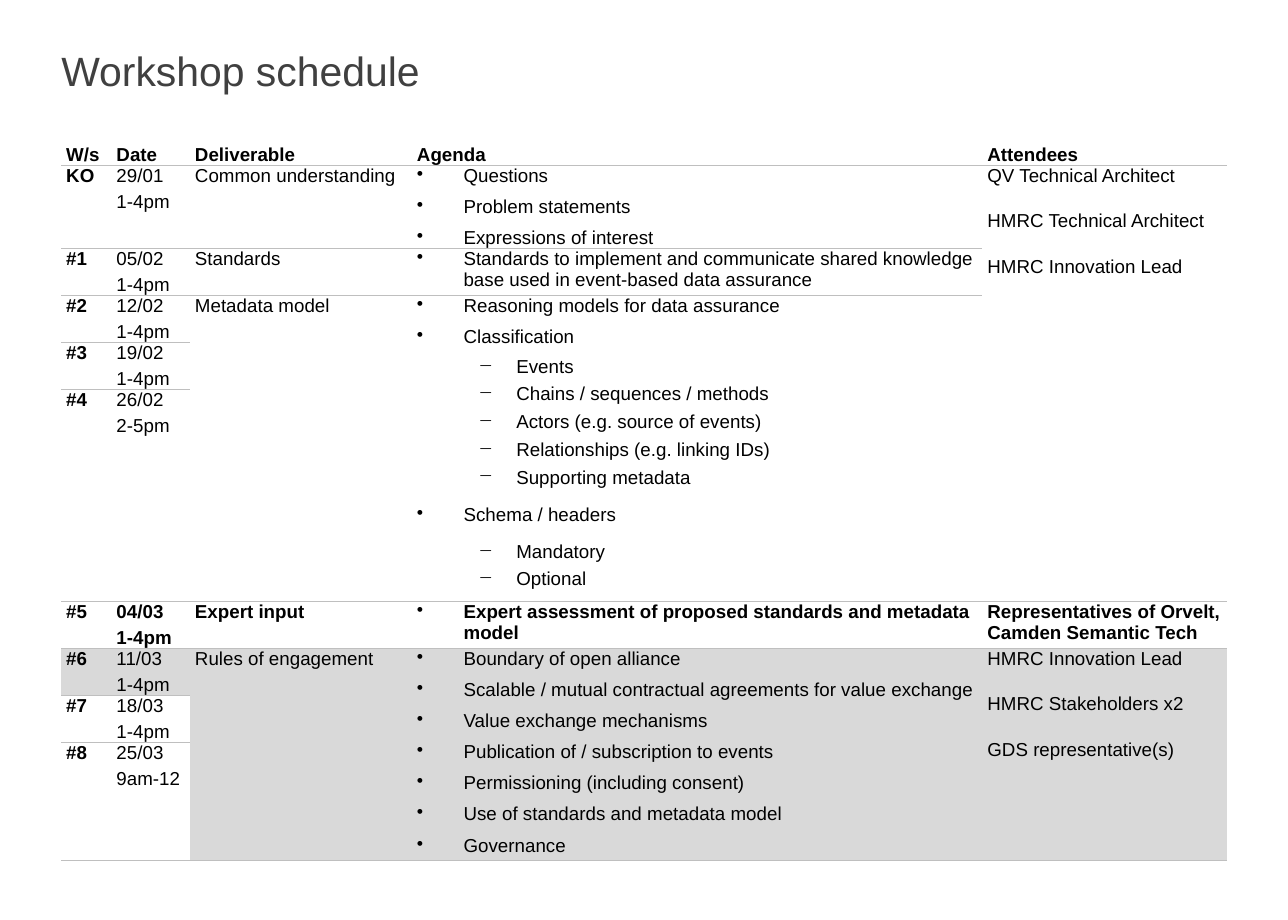
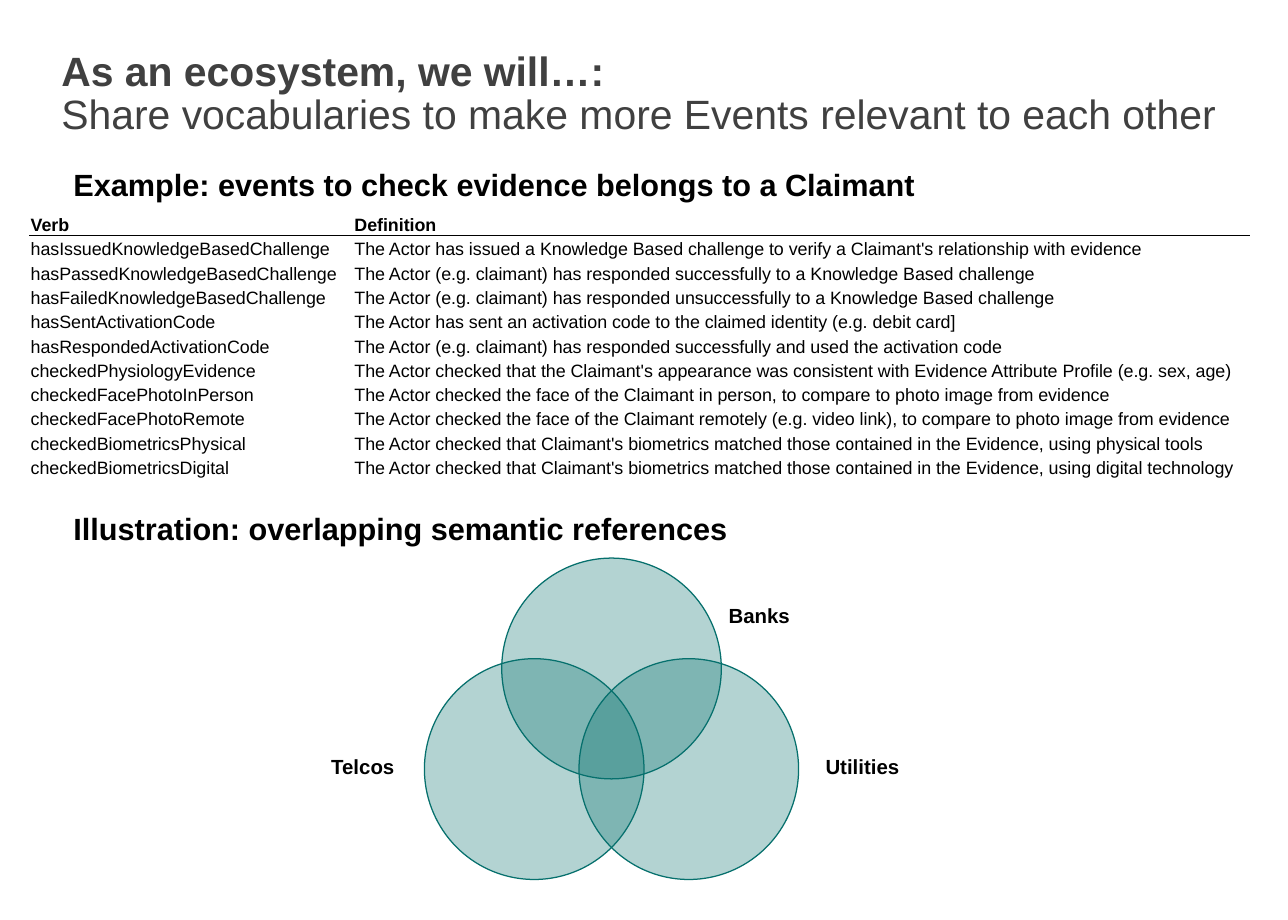
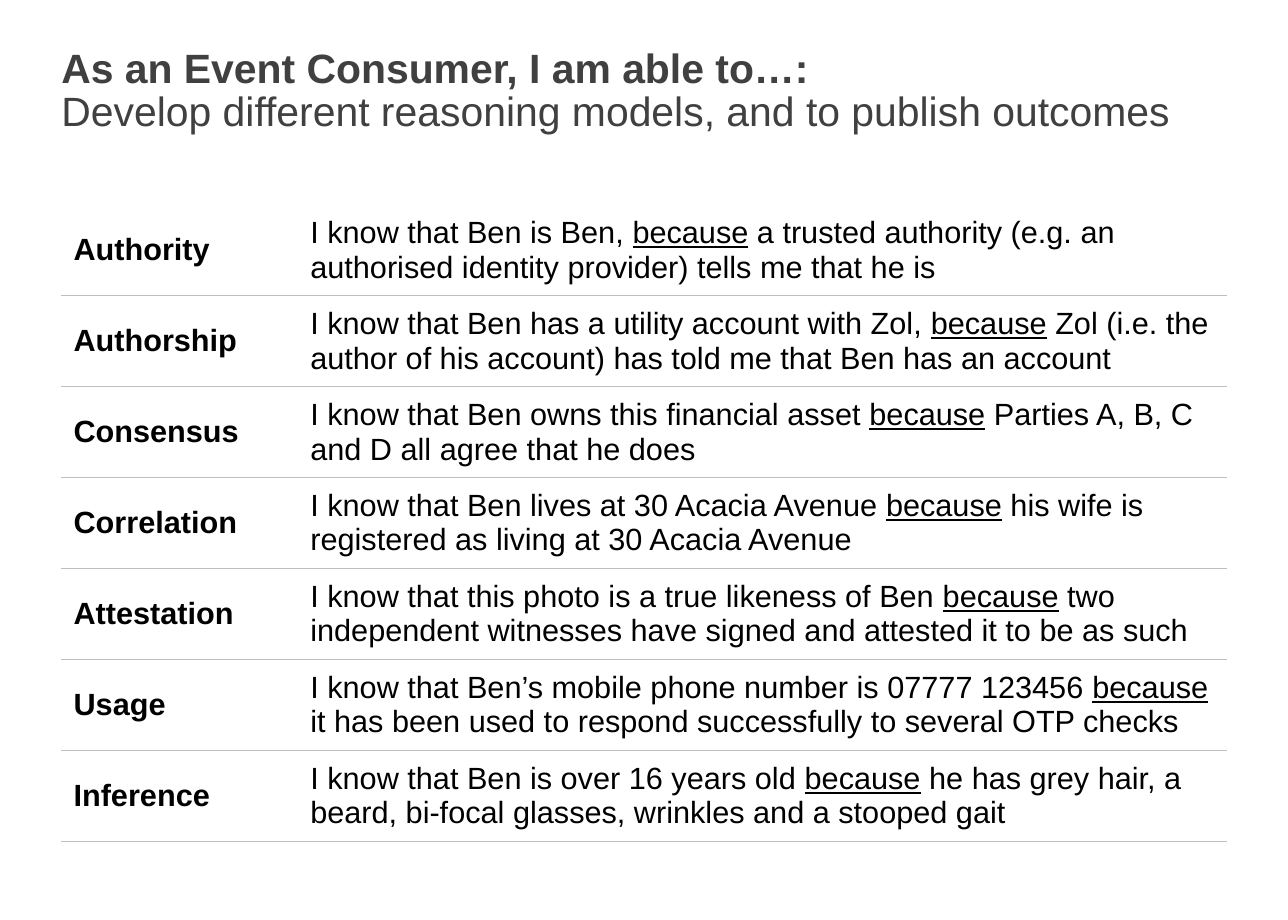
"""Build three slides on a workshop schedule, shared vocabularies and reasoning models."""
from pptx import Presentation
from pptx.dml.color import RGBColor
from pptx.enum.shapes import MSO_SHAPE as Shape
from pptx.enum.text import MSO_ANCHOR as Anchor, MSO_AUTO_SIZE as AutoSize
from pptx.oxml import parse_xml
from pptx.oxml.ns import nsdecls, qn
from pptx.util import Inches, Pt

FONT, BLACK, TITLE, GREY, SHADE, TEAL = "Arial", "000000", "404040", "BFBFBF", "D9D9D9", "06706D"
NO_STYLE = "{2D5ABB26-0587-4C30-8999-92F81FD0307C}"
colour = RGBColor.from_string


def write(para, text, size, **formats):
    """Add one black run to a paragraph."""
    span = para.add_run()
    span.text = text
    span.font.color.rgb = colour(BLACK)
    for name, value in {"name": FONT, "size": Pt(size), **formats}.items():
        setattr(span.font, name, value)


def add_grid(page, left, top, widths, heights, formats):
    """Add a table without fills or borders and return it."""
    grid = page.shapes.add_table(
        len(heights), len(widths), Inches(left), Inches(top),
        Inches(sum(widths)), Inches(sum(heights))).table
    grid.first_row = grid.horz_banding = False
    grid._tbl.tblPr.find(qn("a:tableStyleId")).text = NO_STYLE
    for column, width in zip(grid.columns, widths):
        column.width = Inches(width)
    for row, height in zip(grid.rows, heights):
        row.height = Inches(height)
    for cell in grid.iter_cells():
        cell.fill.background()
        for name, value in formats.items():
            setattr(cell, name, value)
    return grid


deck = Presentation()
deck.slide_width, deck.slide_height = Inches(10.5), Inches(7.5)
layout = deck.slide_layouts[5]

heading = layout.placeholders[0]
place = {"left": Inches(0.5), "top": Inches(0.42), "width": Inches(9.5), "height": Inches(0.83)}
for name, value in place.items():
    setattr(heading, name, value)
flush = {"margin_left": 0, "margin_top": 0, "margin_right": 0, "margin_bottom": 0}
for name, value in {**flush, "vertical_anchor": Anchor.TOP, "auto_size": AutoSize.NONE}.items():
    setattr(heading.text_frame, name, value)
heading.text_frame._txBody.find(qn("a:lstStyle")).append(parse_xml(
    f'<a:lvl1pPr {nsdecls("a")} algn="l"><a:lnSpc><a:spcPct val="88000"/></a:lnSpc>'
    f'<a:defRPr sz="2400"><a:solidFill><a:srgbClr val="{TITLE}"/></a:solidFill>'
    f'<a:latin typeface="{FONT}"/></a:defRPr></a:lvl1pPr>'))

titles = [
    ("", "Workshop schedule"),
    ("As an ecosystem, we will…:",
     "Share vocabularies to make more Events relevant to each other"),
    ("As an Event Consumer, I am able to…:",
     "Develop different reasoning models, and to publish outcomes"),
]
pages = []
for lead, message in titles:
    page = deck.slides.add_slide(layout)
    para = page.shapes.title.text_frame.paragraphs[0]
    if lead:
        span = para.add_run()
        span.text, span.font.bold = lead, True
        para.add_line_break()
    para.add_run().text = message
    pages.append(page)
schedule_page, vocabulary_page, reasoning_page = pages
for name, value in {**place, "top": Inches(0.4)}.items():
    setattr(reasoning_page.shapes.title, name, value)

ruled_cells = []

schedule = [
    ["W/s", "Date", "Deliverable", "Agenda", "Attendees"],
    ["KO", "29/01\n1-4pm", "Common understanding",
     "• Questions\n• Problem statements\n• Expressions of interest",
     "QV Technical Architect\nHMRC Technical Architect\nHMRC Innovation Lead"],
    ["#1", "05/02\n1-4pm", "Standards",
     "• Standards to implement and communicate shared knowledge base used in "
     "event-based data assurance"],
    ["#2", "12/02\n1-4pm", "Metadata model",
     "• Reasoning models for data assurance\n• Classification\n− Events\n"
     "− Chains / sequences / methods\n− Actors (e.g. source of events)\n"
     "− Relationships (e.g. linking IDs)\n− Supporting metadata\n"
     "• Schema / headers\n− Mandatory\n− Optional"],
    ["#3", "19/02\n1-4pm"],
    ["#4", "26/02\n2-5pm"],
    ["#5", "04/03\n1-4pm", "Expert input",
     "• Expert assessment of proposed standards and metadata model",
     "Representatives of Orvelt, Camden Semantic Tech"],
    ["#6", "11/03\n1-4pm", "Rules of engagement",
     "• Boundary of open alliance\n"
     "• Scalable / mutual contractual agreements for value exchange\n"
     "• Value exchange mechanisms\n• Publication of / subscription to events\n"
     "• Permissioning (including consent)\n• Use of standards and metadata model\n"
     "• Governance",
     "HMRC Innovation Lead\nHMRC Stakeholders x2\nGDS representative(s)"],
    ["#7", "18/03\n1-4pm"],
    ["#8", "25/03\n9am-12"],
]
bullets = {"•": (0.38, -0.38, 3), "−": (0.81, -0.31, 2)}
EXPERT_ROW, SHADED_ROW = 6, 7
grid = add_grid(
    schedule_page, 0.5, 1.01, [0.41, 0.64, 1.81, 4.65, 1.99],
    [0.11, 0.6, 0.34, 0.34, 0.34, 1.73, 0.34, 0.34, 0.34, 0.96],
    {**flush, "margin_left": Inches(0.04), "margin_right": Inches(0.04)})
for first, last, column in [(1, 5, 4), (3, 5, 2), (3, 5, 3), (7, 9, 2), (7, 9, 3), (7, 9, 4)]:
    grid.cell(first, column).merge(grid.cell(last, column))
for row, entries in enumerate(schedule):
    for column, entry in enumerate(entries):
        cell = grid.cell(row, column)
        if row == SHADED_ROW:
            cell.fill.solid()
            cell.fill.fore_color.rgb = colour(SHADE)
        for number, line in enumerate(entry.split("\n")):
            para = cell.text_frame.add_paragraph() if number else cell.text_frame.paragraphs[0]
            before = after = 7.2
            if row == 0:
                before, after, para.line_spacing = 0, 6, 2.0
            elif column == 1:
                before, after = (0 if number else 3), 3
            elif column == 3:
                mark, line = line.split(" ", 1)
                margin, indent, before = bullets[mark]
                if line == "Schema / headers":
                    before, para.line_spacing = 7.2, 1.05
                after = before
                para.level = int(mark == "−")
                properties = para._p.get_or_add_pPr()
                properties.set("marL", str(Inches(margin)))
                properties.set("indent", str(Inches(indent)))
                properties.append(parse_xml(f'<a:buChar {nsdecls("a")} char="{mark}"/>'))
            para.space_before, para.space_after = Pt(before), Pt(after)
            write(para, line, 11, bold=row in (0, EXPERT_ROW) or column == 0)
for row in range(len(schedule)):
    for column in range(5):
        cell = grid.cell(row, column)
        if not cell.is_spanned or row in (5, 9):
            ruled_cells.append((cell, GREY, 0.75))

vocabulary = [
    ("Verb", "Definition"),
    ("hasIssuedKnowledgeBasedChallenge",
     "The Actor has issued a Knowledge Based challenge to verify a Claimant's relationship "
     "with evidence"),
    ("hasPassedKnowledgeBasedChallenge",
     "The Actor (e.g. claimant) has responded successfully to a Knowledge Based challenge"),
    ("hasFailedKnowledgeBasedChallenge",
     "The Actor (e.g. claimant) has responded unsuccessfully to a Knowledge Based challenge"),
    ("hasSentActivationCode",
     "The Actor has sent an activation code to the claimed identity (e.g. debit card]"),
    ("hasRespondedActivationCode",
     "The Actor (e.g. claimant) has responded successfully and used the activation code"),
    ("checkedPhysiologyEvidence",
     "The Actor checked that the Claimant's appearance was consistent with Evidence Attribute "
     "Profile (e.g. sex, age)"),
    ("checkedFacePhotoInPerson",
     "The Actor checked the face of the Claimant in person, to compare to photo image from "
     "evidence"),
    ("checkedFacePhotoRemote",
     "The Actor checked the face of the Claimant remotely (e.g. video link), to compare to "
     "photo image from evidence"),
    ("checkedBiometricsPhysical",
     "The Actor checked that Claimant's biometrics matched those contained in the Evidence, "
     "using physical tools"),
    ("checkedBiometricsDigital",
     "The Actor checked that Claimant's biometrics matched those contained in the Evidence, "
     "using digital technology"),
]
thin = Inches(0.01)
grid = add_grid(
    vocabulary_page, 0.24, 1.72, [2.64, 7.31], [2.18 / len(vocabulary)] * len(vocabulary),
    {"margin_left": thin, "margin_top": thin, "margin_right": thin, "margin_bottom": 0,
     "vertical_anchor": Anchor.BOTTOM})
for row, entries in enumerate(vocabulary):
    for column, entry in enumerate(entries):
        cell = grid.cell(row, column)
        write(cell.text_frame.paragraphs[0], entry, 10.5, bold=row == 0)
        if row == 0:
            ruled_cells.append((cell, BLACK, 1))

for left, top in [(4.09, 4.55), (4.72, 5.37), (3.46, 5.37)]:
    circle = vocabulary_page.shapes.add_shape(
        Shape.OVAL, Inches(left), Inches(top), Inches(1.79), Inches(1.8))
    circle.shadow.inherit = False
    circle.fill.solid()
    circle.fill.fore_color.rgb = circle.line.color.rgb = colour(TEAL)
    circle.line.width = Pt(0.75)
    shade = circle._element.spPr.find(qn("a:solidFill"))[0]
    shade.append(parse_xml(f'<a:alpha {nsdecls("a")} val="30000"/>'))

for text, top, width in [
        ("Example: events to check evidence belongs to a Claimant", 1.3, 7.23),
        ("Illustration: overlapping semantic references", 4.11, 8.28)]:
    box = vocabulary_page.shapes.add_textbox(
        Inches(0.5), Inches(top), Inches(width), Inches(0.4))
    box.text_frame.word_wrap = True
    para = box.text_frame.paragraphs[0]
    para.space_before = Pt(7)
    write(para, text, 18, bold=True)

for text, left, top, width in [
        ("Banks", 5.94, 4.92, 0.5), ("Telcos", 2.7, 6.15, 0.52), ("Utilities", 6.73, 6.15, 0.61)]:
    box = vocabulary_page.shapes.add_textbox(
        Inches(left), Inches(top), Inches(width), Inches(0.2))
    for name, value in {**flush, "word_wrap": False,
                        "auto_size": AutoSize.SHAPE_TO_FIT_TEXT}.items():
        setattr(box.text_frame, name, value)
    write(box.text_frame.paragraphs[0], text, 12, bold=True)

reasons = [
    ("Authority", "I know that Ben is Ben, ",
     " a trusted authority (e.g. an authorised identity provider) tells me that he is"),
    ("Authorship", "I know that Ben has a utility account with Zol, ",
     " Zol (i.e. the author of his account) has told me that Ben has an account"),
    ("Consensus", "I know that Ben owns this financial asset ",
     " Parties A, B, C and D all agree that he does"),
    ("Correlation", "I know that Ben lives at 30 Acacia Avenue ",
     " his wife is registered as living at 30 Acacia Avenue"),
    ("Attestation", "I know that this photo is a true likeness of Ben ",
     " two independent witnesses have signed and attested it to be as such"),
    ("Usage", "I know that Ben’s mobile phone number is 07777 123456 ",
     " it has been used to respond successfully to several OTP checks"),
    ("Inference", "I know that Ben is over 16 years old ",
     " he has grey hair, a beard, bi-focal glasses, wrinkles and a stooped gait"),
]
grid = add_grid(
    reasoning_page, 0.5, 1.67, [1.93, 7.57], [5.19 / len(reasons)] * len(reasons),
    {"vertical_anchor": Anchor.MIDDLE})
for row, (model, claim, reason) in enumerate(reasons):
    write(grid.cell(row, 0).text_frame.paragraphs[0], model, 18, bold=True)
    para = grid.cell(row, 1).text_frame.paragraphs[0]
    for text in (claim, "because", reason):
        write(para, text, 18, bold=False, underline=text == "because")
ruled_cells += [(cell, GREY, 0.75) for cell in grid.iter_cells()]

for cell, shade, points in ruled_cells:
    cell._tc.get_or_add_tcPr().insert(0, parse_xml(
        f'<a:lnB {nsdecls("a")} w="{Pt(points)}"><a:solidFill>'
        f'<a:srgbClr val="{shade}"/></a:solidFill></a:lnB>'))

deck.save("out.pptx")
